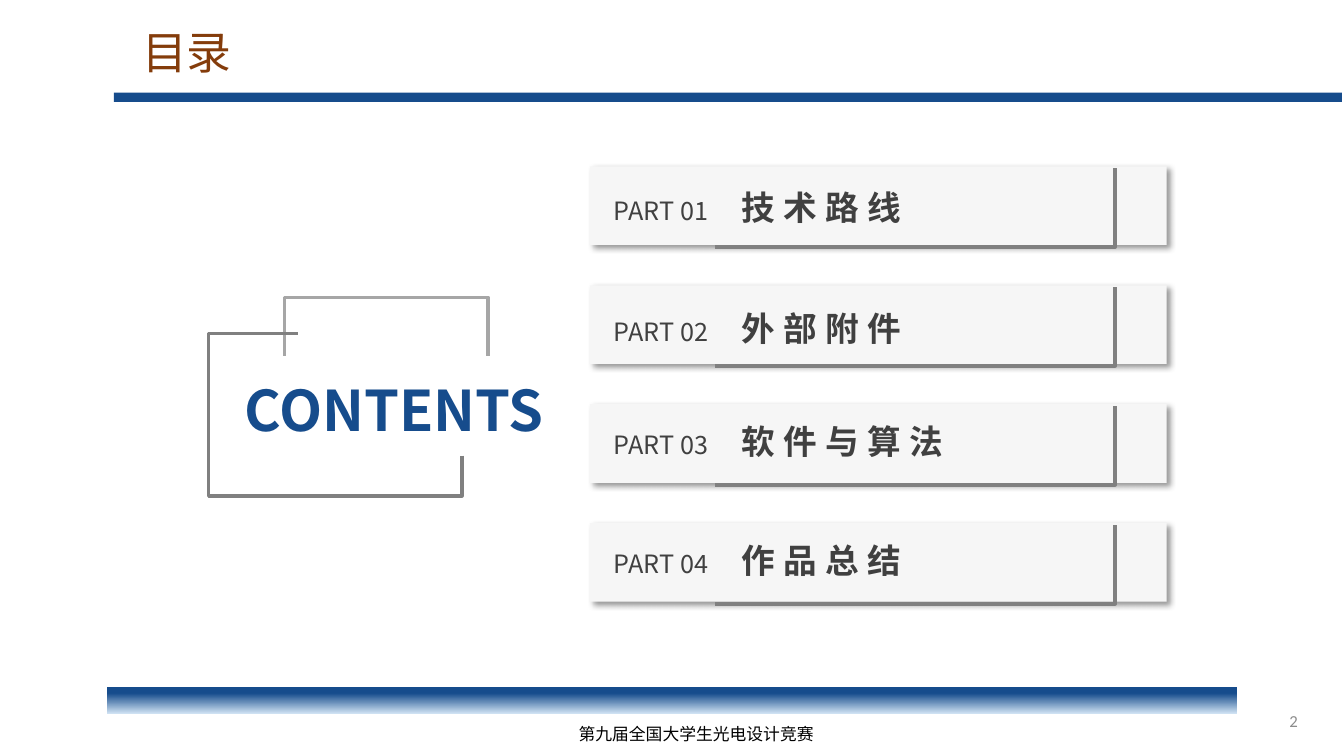
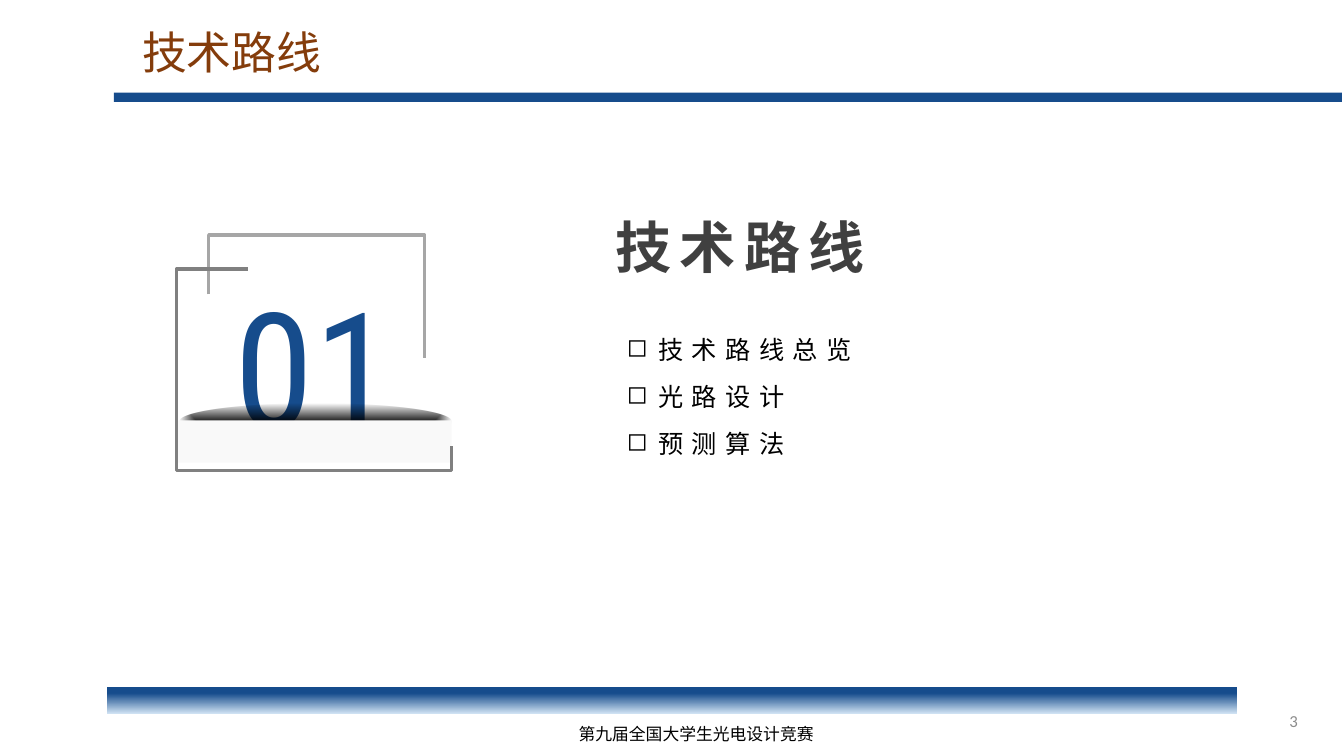
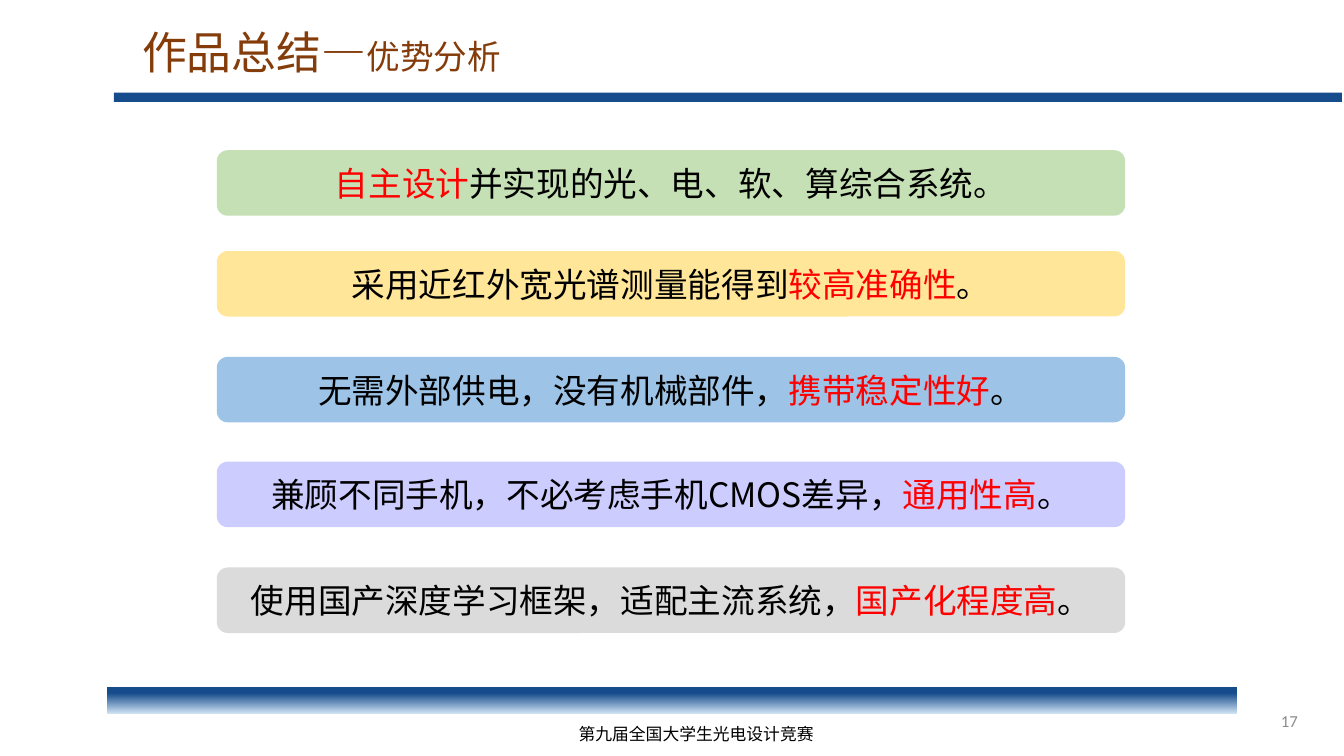
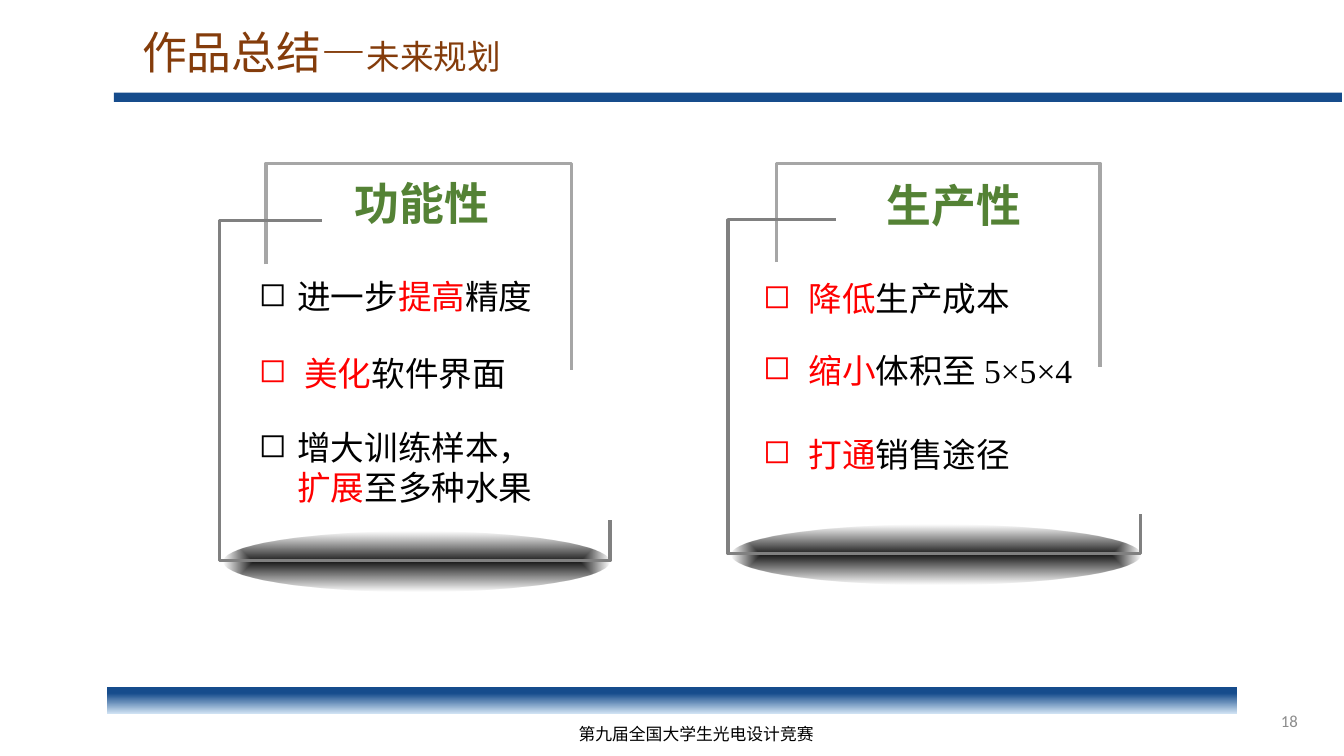
from lxml import etree
from pptx import Presentation
from pptx.dml.color import RGBColor
from pptx.enum.shapes import MSO_SHAPE
from pptx.enum.text import MSO_ANCHOR, MSO_AUTO_SIZE, PP_ALIGN
from pptx.oxml import parse_xml
from pptx.oxml.ns import nsdecls, qn
from pptx.util import Inches, Pt

LEFT, CENTER, RIGHT = PP_ALIGN.LEFT, PP_ALIGN.CENTER, PP_ALIGN.RIGHT
MIDDLE = MSO_ANCHOR.MIDDLE
RECTANGLE, ROUNDED, OVAL = MSO_SHAPE.RECTANGLE, MSO_SHAPE.ROUNDED_RECTANGLE, MSO_SHAPE.OVAL

FONT = "Noto Sans CJK SC"
BLUE, PALE_BLUE, BROWN, GREEN = "164C8C", "CEE1F2", "843C0B", "548235"
BLACK, RED, DARK, NUMBER_GRAY = "000000", "FF0000", "404040", "8C8C8C"
LIGHT_LINE, DARK_LINE = "A6A6A6", "808080"

GLOW_FILL = f"""<a:gradFill {nsdecls("a")} rotWithShape="1"><a:gsLst>
<a:gs pos="0"><a:srgbClr val="000000"><a:alpha val="90000"/></a:srgbClr></a:gs>
<a:gs pos="100000"><a:srgbClr val="000000"><a:alpha val="0"/></a:srgbClr></a:gs>
</a:gsLst><a:path path="shape"><a:fillToRect l="50000" t="50000" r="50000" b="50000"/></a:path>
</a:gradFill>"""
CARD_SHADOW = f"""<a:outerShdw {nsdecls("a")} blurRad="50800" dist="38100" dir="2700000"
algn="tl" rotWithShape="0"><a:srgbClr val="000000"><a:alpha val="40000"/></a:srgbClr>
</a:outerShdw>"""

color = RGBColor.from_string


def add_box(slide, kind, box, fill):
    """Add a preset shape with a solid fill and neither line nor shadow."""
    shape = slide.shapes.add_shape(kind, *map(Inches, box))
    shape.shadow.inherit = False
    shape.fill.solid()
    shape.fill.fore_color.rgb = color(fill)
    shape.line.fill.background()
    return shape


def add_runs(paragraph, size, runs, bold=False, spacing=0, font=FONT):
    """Append (text, colour) or (text, colour, font) runs; spacing is in points."""
    for text, hex_color, *own_font in runs:
        run = paragraph.add_run()
        run.text = text
        run.font.size = Pt(size)
        run.font.bold = bold
        run.font.color.rgb = color(hex_color)
        run.font.name = own_font[0] if own_font else font
        properties = run._r.get_or_add_rPr()
        etree.SubElement(properties, qn("a:ea"), typeface=FONT)
        if spacing:
            properties.set("spc", str(spacing * 100))


presentation = Presentation()
presentation.slide_width = Inches(13.33)
presentation.slide_height = Inches(7.5)
layout = presentation.slide_layouts[5]

# Titles: position on the layout, wording on each slide
layout_title = layout.placeholders[0]
layout_title.left, layout_title.top = Inches(1.31), Inches(0.19)
layout_title.width, layout_title.height = Inches(10), Inches(0.64)

slides = []
for title, subtitle in [("目录", ""), ("技术路线", ""),
                        ("作品总结—", "优势分析"), ("作品总结—", "未来规划")]:
    slide = presentation.slides.add_slide(layout)
    frame = slide.shapes.title.text_frame
    frame.auto_size = MSO_AUTO_SIZE.NONE
    frame.vertical_anchor = MIDDLE
    frame.paragraphs[0].alignment = LEFT
    add_runs(frame.paragraphs[0], 32, [(title, BROWN)])
    if subtitle:
        add_runs(frame.paragraphs[0], 24, [(subtitle, BROWN)])
    slides.append(slide)
contents, section, advantages, plans = slides

# Title rule, footer band and footer text, moved to the layout
title_rule = add_box(contents, RECTANGLE, (1.13, 0.92, 12.18, 0.09), BLUE)
footer_band = add_box(contents, RECTANGLE, (1.06, 6.82, 11.21, 0.26), BLUE)
footer_band.fill.gradient()
footer_band.fill.gradient_angle = 270
for stop, position, hex_color in zip(footer_band.fill.gradient_stops, (0.22, 1), (BLUE, PALE_BLUE)):
    stop.position = position
    stop.color.rgb = color(hex_color)
footer = contents.shapes.add_textbox(Inches(5.64), Inches(7.13), Inches(2.69), Inches(0.3))
footer.text_frame.word_wrap = True
footer.text_frame.vertical_anchor = MIDDLE
add_runs(footer.text_frame.paragraphs[0], 12, [("第九届全国大学生光电设计竞赛", BLACK)])
for shape in (title_rule, footer_band, footer):
    layout.shapes.element.append(shape.element)

# Page numbers and headings
labels = [
    (contents, (2.16, 3.67, 3.33, 0.77), RIGHT, 40, "CONTENTS", BLUE, True, 0, FONT),
    (section, (5.8, 2.06, 3.08, 0.77), CENTER, 40, "技术路线", DARK, True, 6, "Calibri"),
    (section, (2.14, 2.59, 1.95, 2.04), CENTER, 115, "01", BLUE, False, 0, "Roboto Condensed"),
    (plans, (3.36, 1.69, 1.65, 0.64), CENTER, 32, "功能性", GREEN, True, 0, FONT),
    (plans, (8.63, 1.71, 1.66, 0.64), CENTER, 32, "生产性", GREEN, True, 0, FONT),
]
for slide, number in zip(slides, ("2", "3", "17", "18")):
    labels.append((slide, (9.97, 6.95, 3, 0.4), RIGHT, 12, number, NUMBER_GRAY, False, 0, "Calibri"))
for slide, box, alignment, size, text, hex_color, bold, spacing, font in labels:
    frame = slide.shapes.add_textbox(*map(Inches, box)).text_frame
    frame.word_wrap = True
    frame.vertical_anchor = MIDDLE
    frame.paragraphs[0].alignment = alignment
    add_runs(frame.paragraphs[0], size, [(text, hex_color)], bold, spacing, font)

# Open frames, drawn after the shapes they overlap
outlines = [
    (contents, LIGHT_LINE, [(2.82, 3.53), (2.82, 2.95), (4.84, 2.95), (4.84, 3.53)]),
    (contents, DARK_LINE, [(4.58, 4.52), (4.58, 4.92), (2.07, 4.92), (2.07, 3.31), (2.96, 3.31)]),
    (section, LIGHT_LINE, [(2.07, 2.92), (2.07, 2.33), (4.21, 2.33), (4.21, 3.55)]),
    (section, DARK_LINE, [(4.48, 4.43), (4.48, 4.67), (1.75, 4.67), (1.75, 2.67), (2.46, 2.67)]),
    (plans, LIGHT_LINE, [(2.64, 2.62), (2.64, 1.62), (5.67, 1.62), (5.67, 3.67)]),
    (plans, DARK_LINE, [(6.05, 5.16), (6.05, 5.56), (2.18, 5.56), (2.18, 2.19), (3.19, 2.19)]),
    (plans, LIGHT_LINE, [(7.7, 2.6), (7.7, 1.62), (10.91, 1.62), (10.91, 3.64)]),
    (plans, DARK_LINE, [(11.31, 5.1), (11.31, 5.49), (7.22, 5.49), (7.22, 2.18), (8.29, 2.18)]),
]

# Contents cards
parts = [("技术路线", 1.8), ("外部附件", 3), ("软件与算法", 4.13), ("作品总结", 5.31)]
for index, (part, text_top) in enumerate(parts):
    top = 1.65 + 1.18 * index
    card = add_box(contents, RECTANGLE, (5.85, top, 5.72, 0.78), "F6F6F6")
    card.element.spPr.find(qn("a:effectLst")).append(parse_xml(CARD_SHADOW))
    box = (5.99, text_top, 5.52, 0.5)
    frame = contents.shapes.add_textbox(*map(Inches, box)).text_frame
    frame.word_wrap = True
    frame.vertical_anchor = MIDDLE
    paragraph = frame.paragraphs[0]
    tabs = etree.SubElement(paragraph._p.get_or_add_pPr(), qn("a:tabLst"))
    etree.SubElement(tabs, qn("a:tab"), pos=str(Inches(1.27)), algn="l")
    add_runs(paragraph, 18, [(f"PART {index + 1:02}\t", DARK)])
    add_runs(paragraph, 24, [(part, DARK)], bold=True, spacing=6)
    outlines.append((contents, DARK_LINE,
                     [(11.06, top + 0.02), (11.06, top + 0.8), (7.09, top + 0.8)]))

# Soft ellipses under the frames
for slide, box in [(section, (1.78, 4, 2.7, 0.36)),
                   (plans, (2.22, 5.27, 3.83, 0.6)),
                   (plans, (7.26, 5.21, 4.05, 0.59))]:
    properties = add_box(slide, OVAL, box, BLACK).element.spPr
    properties.replace(properties.find(qn("a:solidFill")), parse_xml(GLOW_FILL))
add_box(section, RECTANGLE, (1.75, 4.17, 2.73, 0.42), "F9F9F9")

for slide, hex_color, points in outlines:
    start, *others = [(Inches(x), Inches(y)) for x, y in points]
    builder = slide.shapes.build_freeform(*start)
    builder.add_line_segments(others, close=False)
    outline = builder.convert_to_shape()
    outline.shadow.inherit = False
    outline.fill.background()
    outline.line.color.rgb = color(hex_color)
    outline.line.width = Pt(2.5)

# Advantage bars
for top, fill, runs in [
    (1.49, "C5E0B4", [("自主设计", RED), ("并实现的光、电、软、算综合系统。", BLACK)]),
    (2.49, "FFE699", [("采用近红外宽光谱测量能得到", BLACK), ("较高准确性", RED), ("。", BLACK)]),
    (3.54, "9DC3E6", [("无需外部供电，没有机械部件，", BLACK), ("携带稳定性好", RED), ("。", BLACK)]),
    (4.58, "CCCCFF", [("兼顾不同手机，不必考虑手机CMOS差异，", BLACK), ("通用性高", RED), ("。", BLACK)]),
    (5.63, "DBDBDB", [("使用国产深度学习框架，适配主流系统，", BLACK), ("国产化程度高", RED), ("。", BLACK)]),
]:
    frame = add_box(advantages, ROUNDED, (2.15, top, 9.01, 0.65), fill).text_frame
    frame.vertical_anchor = MIDDLE
    frame.paragraphs[0].alignment = CENTER
    add_runs(frame.paragraphs[0], 24, runs)

# Bulleted lists
for slide, box, indent, size, spacing, items in [
    (section, (6.12, 3.26, 2.91, 1.35), 0.31, 18, 6,
     [[("技术路线总览", BLACK)], [("光路设计", BLACK)], [("预测算法", BLACK)]]),
    (plans, (2.47, 2.69, 3.28, 0.5), 0.38, 24, 0,
     [[("进一步", BLACK), ("提高", RED), ("精度", BLACK)]]),
    (plans, (2.47, 3.45, 2.88, 0.5), 0.45, 24, 0, [[("美化", RED), ("软件界面", BLACK)]]),
    (plans, (2.47, 4.18, 3.03, 0.91), 0.38, 24, 0,
     [[("增大训练样本，", BLACK), ("扩展", RED), ("至多种水果", BLACK)]]),
    (plans, (7.47, 2.71, 3.47, 0.5), 0.45, 24, 0, [[("降低", RED), ("生产成本", BLACK)]]),
    (plans, (7.47, 3.42, 3.74, 0.5), 0.45, 24, 0,
     [[("缩小", RED), ("体积至 ", BLACK), ("5×5×4", BLACK, "Times New Roman")]]),
    (plans, (7.47, 4.25, 3.2, 0.5), 0.45, 24, 0, [[("打通", RED), ("销售途径", BLACK)]]),
]:
    frame = slide.shapes.add_textbox(*map(Inches, box)).text_frame
    frame.word_wrap = True
    frame.vertical_anchor = MIDDLE
    for index, runs in enumerate(items):
        paragraph = frame.add_paragraph() if index else frame.paragraphs[0]
        properties = paragraph._p.get_or_add_pPr()
        properties.set("marL", str(Inches(indent)))
        properties.set("indent", str(-Inches(indent)))
        etree.SubElement(properties, qn("a:buChar"), char="◻")
        if index:
            paragraph.space_before = Pt(12)
        add_runs(paragraph, size, runs, spacing=spacing)

presentation.save("out.pptx")
